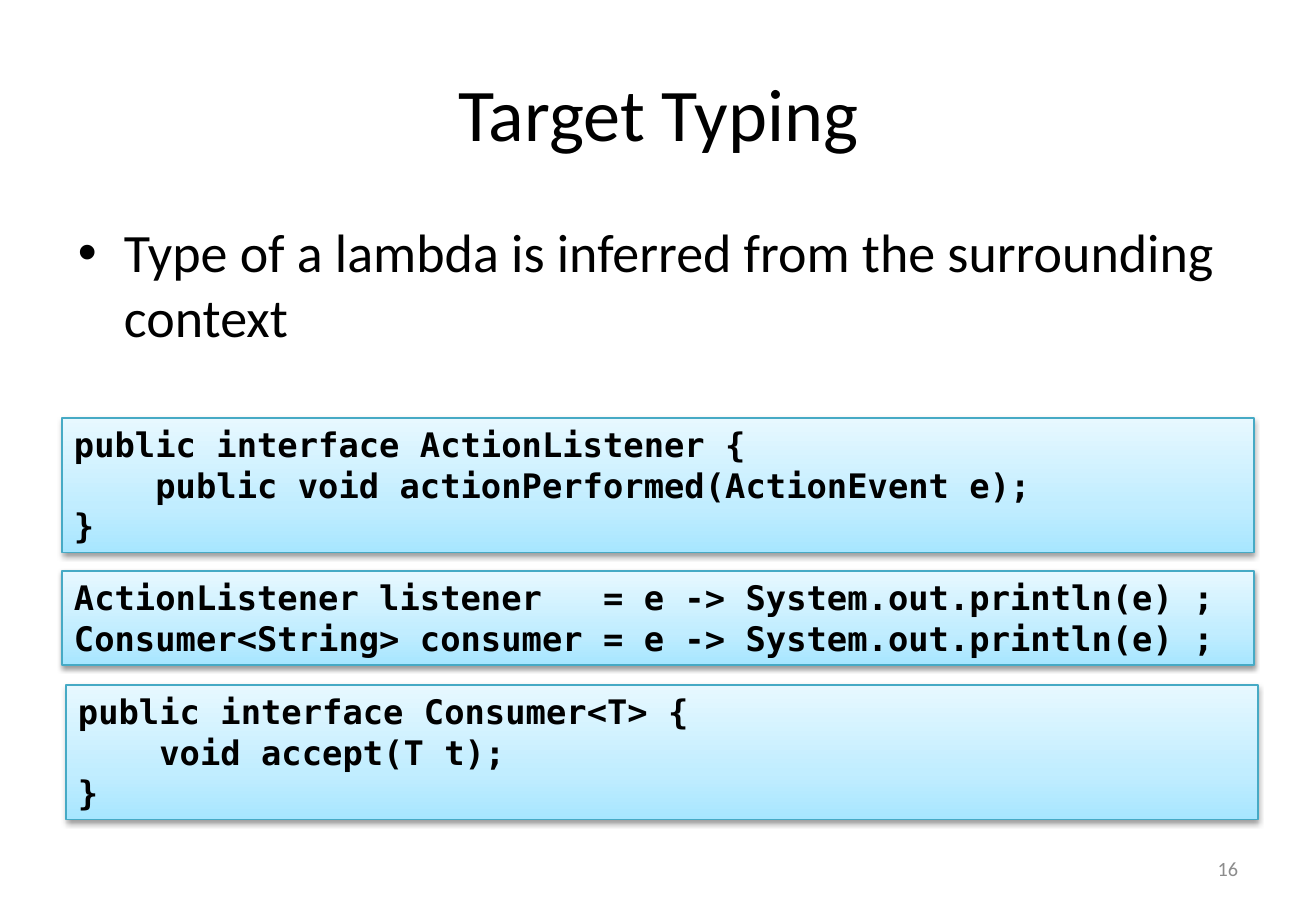
from lxml import etree
from pptx import Presentation, util as u
from pptx.dml.color import RGBColor
from pptx.enum import shapes, text
from pptx.oxml.ns import qn

PX = 914400 / 121.5
COLORS = {
    "black": "000000", "number": "8C8C8C", "edge": "46AAC5",
    "low": "A7E6FF", "mid": "C1EDFF", "high": "E7F8FF",
}
GRADIENT = [(0, "low"), (35, "mid"), (100, "high")]


def px(n):
    return u.Emu(round(n * PX))


def rgb(name):
    return RGBColor.from_string(COLORS[name])


def sub(parent, tag, **attrs):
    return etree.SubElement(parent, qn(tag), {k: str(v) for k, v in attrs.items()})


def add_text(tf, lines, size, font="Calibri", color="black", bold=False,
             align=text.PP_ALIGN.LEFT, anchor=text.MSO_ANCHOR.TOP):
    tf.word_wrap = True
    tf.vertical_anchor = anchor
    for i, line in enumerate(lines):
        p = tf.paragraphs[0] if i == 0 else tf.add_paragraph()
        p.alignment = align
        r = p.add_run()
        r.text = line
        r.font.name, r.font.size, r.font.bold = font, u.Pt(size), bold
        r.font.color.rgb = rgb(color)


def text_box(s, box, lines, size, **fmt):
    tf = s.shapes.add_textbox(*map(px, box)).text_frame
    add_text(tf, lines, size, **fmt)
    return tf


def title(s, box):
    text_box(s, box, ["Target Typing"], 44,
             align=text.PP_ALIGN.CENTER, anchor=text.MSO_ANCHOR.MIDDLE)


def body(s, box):
    tf = text_box(s, box, ["Type of a lambda is inferred from the surrounding context"], 32)
    p = tf.paragraphs[0]
    p.space_before = u.Pt(6.4)
    pPr = p._p.get_or_add_pPr()
    indent = px(46)
    pPr.set("marL", str(indent))
    pPr.set("indent", str(-indent))
    sub(pPr, "a:buFont", typeface="Arial")
    sub(pPr, "a:buChar", char="•")


def code_box(s, box, lines):
    sp = s.shapes.add_shape(shapes.MSO_SHAPE.RECTANGLE, *map(px, box))
    sp.fill.gradient()
    sp.fill.gradient_angle = 90
    stops = sp._element.spPr.find(".//" + qn("a:gsLst"))
    for gs in list(stops):
        stops.remove(gs)
    for pos, name in GRADIENT:
        sub(sub(stops, "a:gs", pos=pos * 1000), "a:srgbClr", val=COLORS[name])
    sp.line.color.rgb = rgb("edge")
    sp.line.width = u.Pt(0.75)
    sp.shadow.inherit = False
    effects = sp._element.spPr.find(qn("a:effectLst"))
    shadow = sub(effects, "a:outerShdw", blurRad=u.Pt(3.1), dist=u.Pt(1.6),
                 dir=5400000, rotWithShape=0)
    sub(sub(shadow, "a:srgbClr", val=COLORS["black"]), "a:alpha", val=38000)
    add_text(sp.text_frame, lines, 20, font="DejaVu Sans Mono", bold=True)
    sp.text_frame.auto_size = text.MSO_AUTO_SIZE.SHAPE_TO_FIT_TEXT


def slide_number(s, box):
    text_box(s, box, ["16"], 12, color="number",
             align=text.PP_ALIGN.RIGHT, anchor=text.MSO_ANCHOR.MIDDLE)


prs = Presentation()
prs.slide_width, prs.slide_height = px(1316), px(911)
s = prs.slides.add_slide(prs.slide_layouts[6])
title(s, (66, 36, 1185, 152))
body(s, (66, 213, 1185, 601))
code_box(s, (62, 418, 1192, 135), [
    "public interface ActionListener {",
    "    public void actionPerformed(ActionEvent e);",
    "}",
])
code_box(s, (62, 571, 1192, 94), [
    "ActionListener listener   = e -> System.out.println(e) ;",
    "Consumer<String> consumer = e -> System.out.println(e) ;",
])
code_box(s, (66, 685, 1192, 135), [
    "public interface Consumer<T> {",
    "    void accept(T t);",
    "}",
])
slide_number(s, (943, 844, 307, 49))
prs.save("out.pptx")
